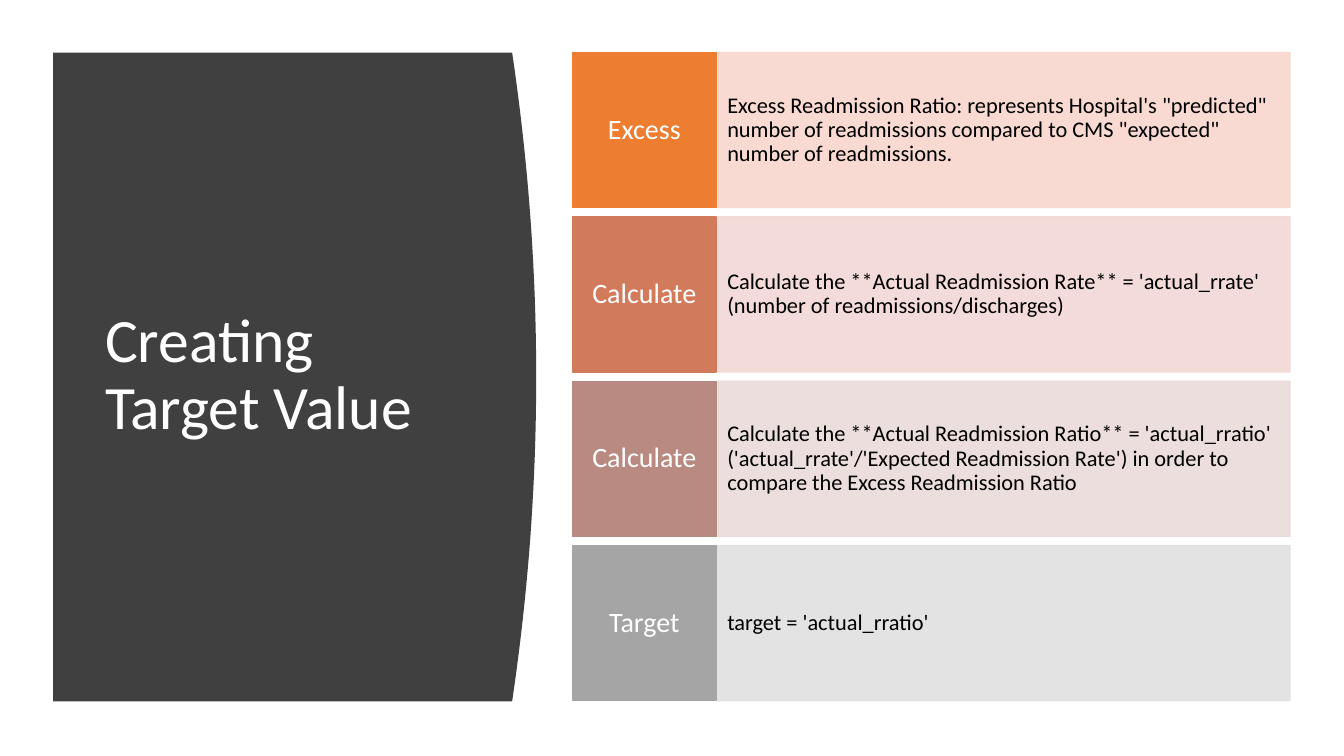
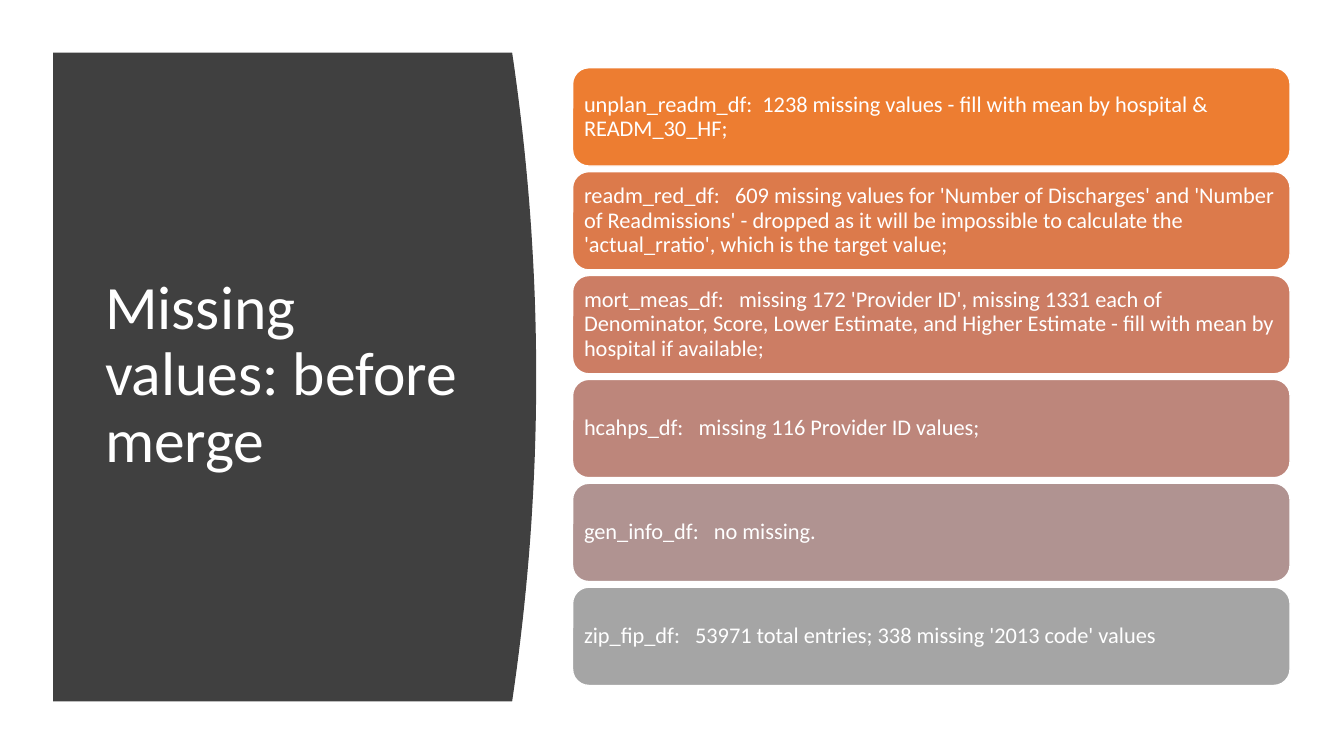
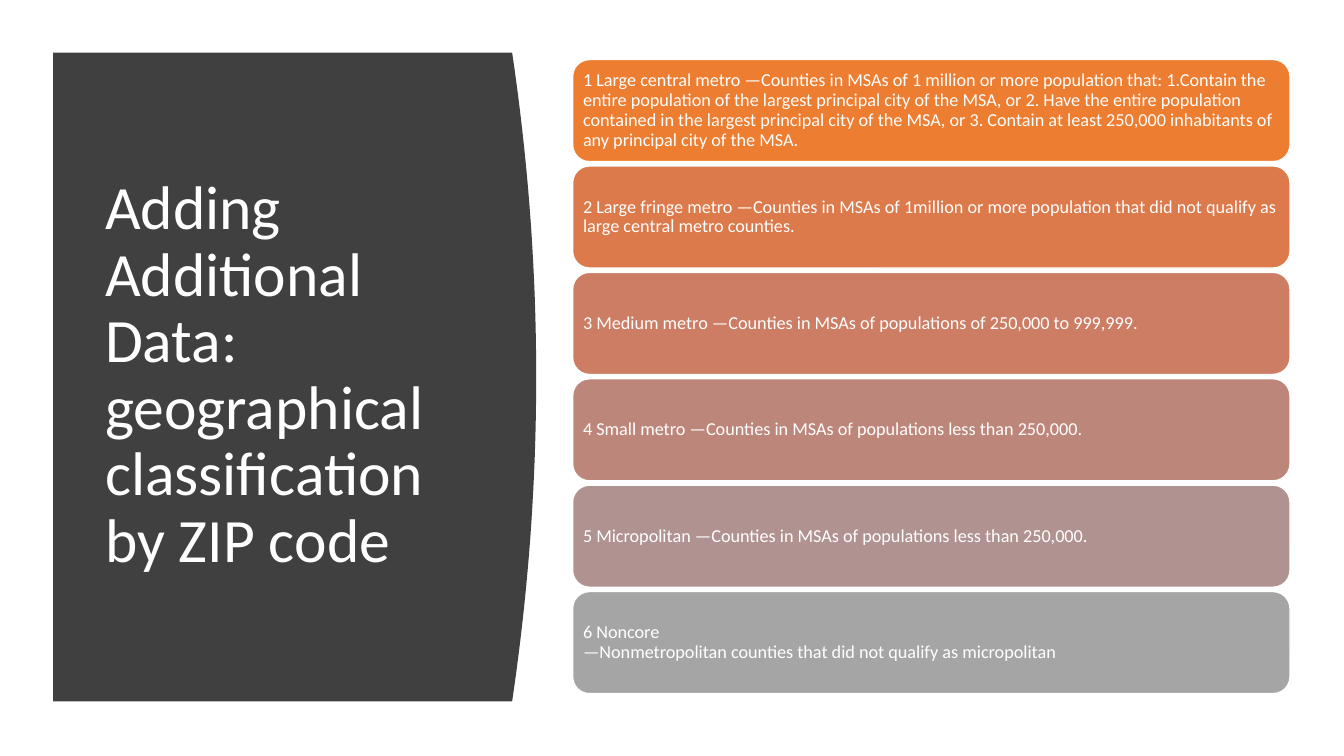
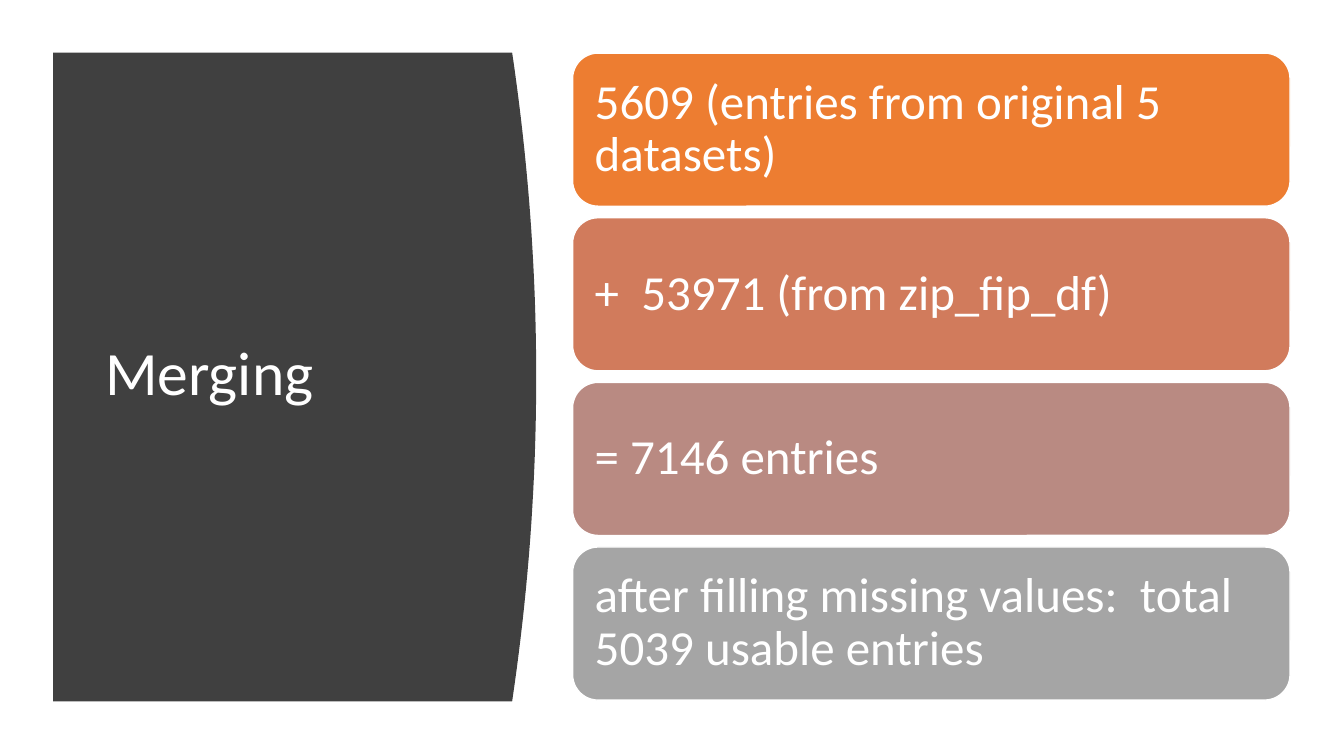
"""Build four slides about preparing hospital readmission data."""

from dataclasses import dataclass

import lxml.etree
import pptx
import pptx.dml.color
import pptx.enum.shapes
import pptx.enum.text
import pptx.oxml.ns
import pptx.presentation
import pptx.shapes.autoshape
import pptx.slide
import pptx.text.text
import pptx.util

Pt = pptx.util.Pt
RGBColor = pptx.dml.color.RGBColor
Shapes = pptx.enum.shapes.MSO_SHAPE
Align = pptx.enum.text.PP_ALIGN

FONT = "Calibri"
WHITE = RGBColor(0xFF, 0xFF, 0xFF)
BLACK = RGBColor(0x00, 0x00, 0x00)
CHARCOAL = RGBColor(0x40, 0x40, 0x40)
ORANGE = RGBColor(0xED, 0x7D, 0x31)
GRAY = RGBColor(0xA5, 0xA5, 0xA5)
FOUR_SHADES = (ORANGE, RGBColor(0xD1, 0x7B, 0x5C), RGBColor(0xB9, 0x8A, 0x82), GRAY)
FOUR_TINTS = (
    RGBColor(0xF8, 0xD7, 0xCE),
    RGBColor(0xF1, 0xD8, 0xD4),
    RGBColor(0xE9, 0xDB, 0xDA),
    RGBColor(0xE1, 0xE1, 0xE1),
)
SIX_SHADES = (
    ORANGE,
    RGBColor(0xDC, 0x7A, 0x4B),
    RGBColor(0xCC, 0x7D, 0x64),
    RGBColor(0xBD, 0x86, 0x7B),
    RGBColor(0xB0, 0x93, 0x91),
    GRAY,
)

SLIDE_WIDTH, SLIDE_HEIGHT = 960, 540
PANEL_LEFT, PANEL_TOP, PANEL_HEIGHT = 38, 37.5, 463.5
PANEL_EDGE, PANEL_BULGE, PANEL_STEPS = 365.8, 17.2, 40
COLUMN_LEFT, COLUMN_WIDTH, COLUMN_MIDDLE = 409, 512.5, 269
LABEL_WIDTH = COLUMN_WIDTH / 5


@dataclass(frozen=True)
class Box:
    """A rectangle measured in points."""

    left: float
    top: float
    width: float
    height: float


@dataclass(frozen=True)
class TextStyle:
    """Look of the text in a shape."""

    size: float
    color: RGBColor = WHITE
    margin: float = 7.2
    alignment: Align = Align.LEFT


@dataclass(frozen=True)
class Definition:
    """A short label with its explanation."""

    label: str
    body: str


@dataclass(frozen=True)
class CardSlide:
    """A title beside a stack of rounded cards."""

    title: str
    cards: tuple[str, ...]
    shades: tuple[RGBColor, ...]
    size: float
    height: float
    gap: float


TITLE_STYLE = TextStyle(44)
LABEL_STYLE = TextStyle(20, margin=5.6, alignment=Align.CENTER)
BODY_STYLE = TextStyle(16, BLACK, 8)

DEFINITIONS = (
    Definition(
        "Excess",
        "Excess Readmission Ratio: represents Hospital's \"predicted\" number of "
        "readmissions compared to CMS \"expected\" number of readmissions.",
    ),
    Definition(
        "Calculate",
        "Calculate the **Actual Readmission Rate** = 'actual_rrate' "
        "(number of readmissions/discharges)",
    ),
    Definition(
        "Calculate",
        "Calculate the **Actual Readmission Ratio** = 'actual_rratio' "
        "('actual_rrate'/'Expected Readmission Rate') in order to compare the "
        "Excess Readmission Ratio",
    ),
    Definition("Target", "target = 'actual_rratio'"),
)

CARD_SLIDES = (
    CardSlide(
        "Missing values: before merge",
        (
            "unplan_readm_df:  1238 missing values - fill with mean by hospital & READM_30_HF;",
            "readm_red_df:   609 missing values for 'Number of Discharges' and 'Number of "
            "Readmissions' - dropped as it will be impossible to calculate the "
            "'actual_rratio', which is the target value;",
            "mort_meas_df:   missing 172 'Provider ID', missing 1331 each of Denominator, "
            "Score, Lower Estimate, and Higher Estimate - fill with mean by hospital if "
            "available;",
            "hcahps_df:   missing 116 Provider ID values;",
            "gen_info_df:   no missing.",
            "zip_fip_df:   53971 total entries; 338 missing '2013 code' values",
        ),
        SIX_SHADES,
        size=16,
        height=70.2,
        gap=4,
    ),
    CardSlide(
        "Adding Additional Data: \vgeographical classification by ZIP code",
        (
            "1 Large central metro —Counties in MSAs of 1 million or more population that: "
            "1.Contain the entire population of the largest principal city of the MSA, or "
            "2. Have the entire population contained in the largest principal city of the "
            "MSA, or 3. Contain at least 250,000 inhabitants of any principal city of the MSA.",
            "2 Large fringe metro —Counties in MSAs of 1million or more population that did "
            "not qualify as large central metro counties.",
            "3 Medium metro —Counties in MSAs of populations of 250,000 to 999,999.",
            "4 Small metro —Counties in MSAs of populations less than 250,000.",
            "5 Micropolitan —Counties in MSAs of populations less than 250,000.",
            "6 Noncore\v—Nonmetropolitan counties that did not qualify as micropolitan",
        ),
        SIX_SHADES,
        size=13,
        height=73,
        gap=3,
    ),
    CardSlide(
        "Merging",
        (
            "5609 (entries from original 5 datasets)",
            "+  53971 (from zip_fip_df)",
            "= 7146 entries",
            "after filling missing values:  total 5039 usable entries",
        ),
        FOUR_SHADES,
        size=35,
        height=109.4,
        gap=8.2,
    ),
)


def write_text(frame: pptx.text.text.TextFrame, text: str, style: TextStyle) -> None:
    """Fill a text frame with one vertically centred paragraph."""
    frame.word_wrap = True
    frame.vertical_anchor = pptx.enum.text.MSO_ANCHOR.MIDDLE
    frame.margin_left = frame.margin_right = Pt(style.margin)
    frame.margin_top = frame.margin_bottom = Pt(3.6)
    paragraph = frame.paragraphs[0]
    paragraph.text = text
    paragraph.alignment = style.alignment
    paragraph.line_spacing = 0.9
    paragraph.font.name = FONT
    paragraph.font.size = Pt(style.size)
    paragraph.font.color.rgb = style.color


def add_block(
    slide: pptx.slide.Slide,
    kind: Shapes,
    box: Box,
    fill: RGBColor,
    line: RGBColor,
    text: str,
    style: TextStyle,
) -> pptx.shapes.autoshape.Shape:
    """Add a filled shape with text."""
    shape = slide.shapes.add_shape(
        kind, Pt(box.left), Pt(box.top), Pt(box.width), Pt(box.height)
    )
    shape.shadow.inherit = False
    shape.fill.solid()
    shape.fill.fore_color.rgb = fill
    shape.line.color.rgb = line
    shape.line.width = Pt(1)
    write_text(shape.text_frame, text, style)
    return shape


def set_opacity(shape: pptx.shapes.autoshape.Shape, percent: int) -> None:
    """Make the fill and line of a shape partly transparent."""
    for color in shape.element.spPr.iter(pptx.oxml.ns.qn("a:srgbClr")):
        alpha = lxml.etree.SubElement(color, pptx.oxml.ns.qn("a:alpha"))
        alpha.set("val", str(percent * 1000))


def add_titled_slide(
    presentation: pptx.presentation.Presentation, title: str
) -> pptx.slide.Slide:
    """Add a slide with the curved dark panel and its title."""
    slide = presentation.slides.add_slide(presentation.slide_layouts[6])
    curve = []
    for step in range(PANEL_STEPS + 1):
        share = step / PANEL_STEPS
        bulge = PANEL_BULGE * (1 - (2 * share - 1) ** 2)
        curve.append((Pt(PANEL_EDGE + bulge), Pt(PANEL_TOP + PANEL_HEIGHT * share)))
    builder = slide.shapes.build_freeform(Pt(PANEL_LEFT), Pt(PANEL_TOP))
    builder.add_line_segments([*curve, (Pt(PANEL_LEFT), Pt(PANEL_TOP + PANEL_HEIGHT))])
    panel = builder.convert_to_shape()
    panel.shadow.inherit = False
    panel.fill.solid()
    panel.fill.fore_color.rgb = CHARCOAL
    panel.line.fill.background()
    title_box = slide.shapes.add_textbox(Pt(68), Pt(80), Pt(269), Pt(377))
    write_text(title_box.text_frame, title, TITLE_STYLE)
    return slide


def stack_rows(count: int, height: float, gap: float) -> list[Box]:
    """Return equal rows centred vertically in the right column."""
    top = COLUMN_MIDDLE - (count * height + (count - 1) * gap) / 2
    return [
        Box(COLUMN_LEFT, top + index * (height + gap), COLUMN_WIDTH, height)
        for index in range(count)
    ]


def add_definition_slide(presentation: pptx.presentation.Presentation) -> None:
    """Add the slide that defines the target value."""
    slide = add_titled_slide(presentation, "Creating Target Value")
    rows = stack_rows(len(DEFINITIONS), 110.7, 6.7)
    for row, item, shade, tint in zip(rows, DEFINITIONS, FOUR_SHADES, FOUR_TINTS):
        label_box = Box(row.left, row.top, LABEL_WIDTH, row.height)
        body_box = Box(
            row.left + LABEL_WIDTH, row.top, row.width - LABEL_WIDTH, row.height
        )
        body = add_block(
            slide, Shapes.RECTANGLE, body_box, tint, tint, item.body, BODY_STYLE
        )
        set_opacity(body, 90)
        add_block(
            slide, Shapes.RECTANGLE, label_box, shade, shade, item.label, LABEL_STYLE
        )


def add_card_slide(
    presentation: pptx.presentation.Presentation, content: CardSlide
) -> None:
    """Add a slide with a stack of rounded cards."""
    slide = add_titled_slide(presentation, content.title)
    style = TextStyle(content.size, margin=0.3 * content.size)
    rows = stack_rows(len(content.cards), content.height, content.gap)
    for row, text, shade in zip(rows, content.cards, content.shades):
        add_block(slide, Shapes.ROUNDED_RECTANGLE, row, shade, WHITE, text, style)


def main() -> None:
    """Build and save the presentation."""
    presentation = pptx.Presentation()
    presentation.slide_width = Pt(SLIDE_WIDTH)
    presentation.slide_height = Pt(SLIDE_HEIGHT)
    add_definition_slide(presentation)
    for content in CARD_SLIDES:
        add_card_slide(presentation, content)
    presentation.save("out.pptx")


if __name__ == "__main__":
    main()
